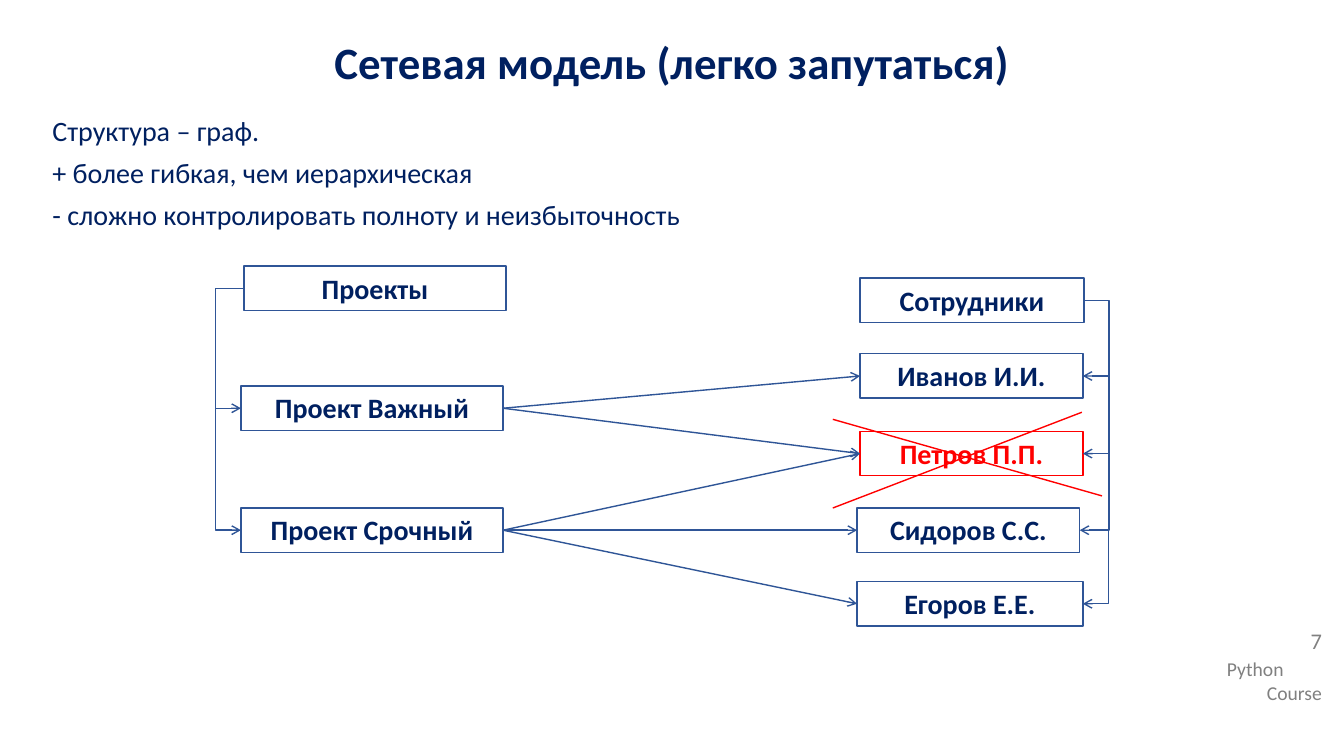
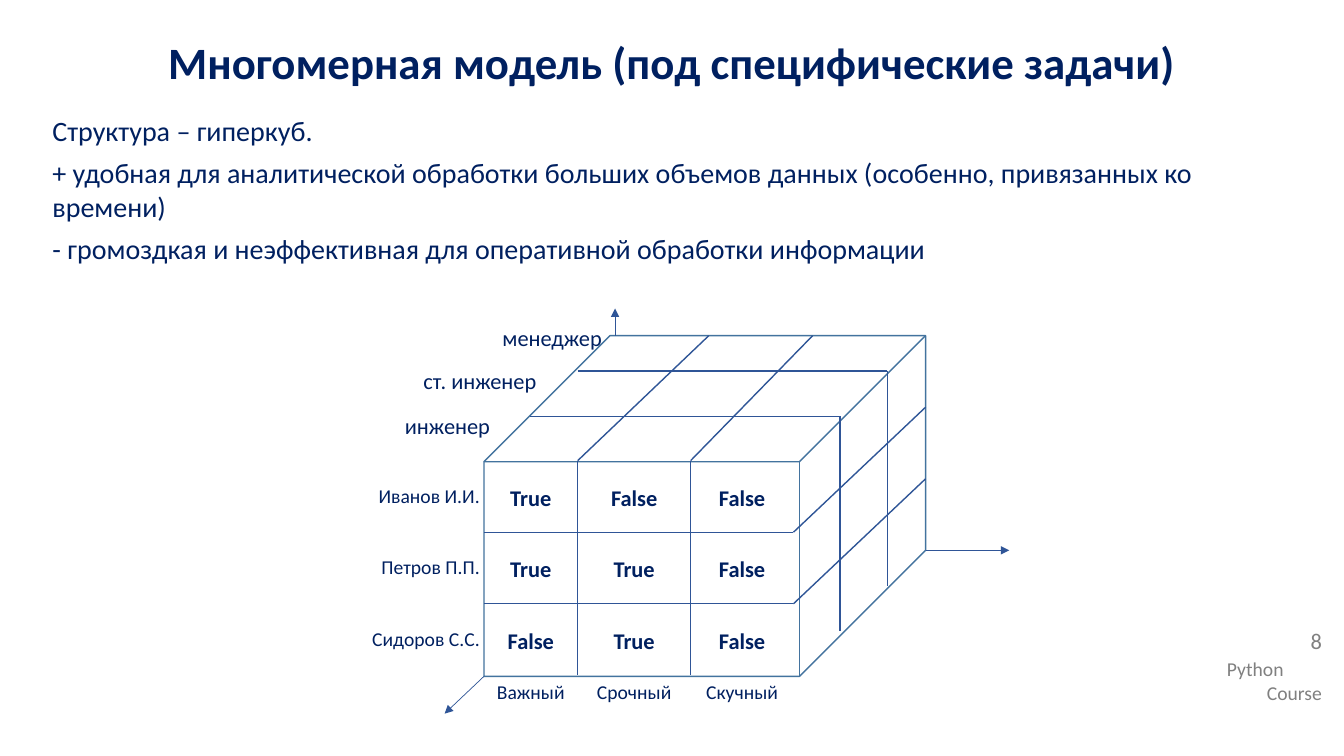
"""Two slides on data models: a network graph and a data cube."""
from lxml import etree
from pptx import Presentation
from pptx import util as u
from pptx.dml.color import RGBColor
from pptx.enum import shapes, text
from pptx.oxml.ns import qn

COLOURS = {"navy": "002060", "blue": "2F5597", "edge": "43739E", "red": "FF0000", "grey": "808080"}
WIDTH, HEIGHT = 13.33, 7.5
FIRST_PAGE = 7
TOP, LEFT, BOTTOM, RIGHT = range(4)
L, C, R = text.PP_ALIGN.LEFT, text.PP_ALIGN.CENTER, text.PP_ALIGN.RIGHT
ANCHOR_TOP, ANCHOR_MIDDLE = text.MSO_ANCHOR.TOP, text.MSO_ANCHOR.MIDDLE

TITLE_AREA = (0, 0.23, WIDTH, 0.76)
BODY_AREA = (0.42, 1.08, 12.49, 6.23)
PAGE_AREA = (12.07, 6.2, 1.14, 0.45)
COURSE_AREA = (12.07, 6.47, 1.14, 0.57)

STYLES = {
    "title": {"size": 32, "bold": True, "align": C, "before": 5, "after": 5, "anchor": ANCHOR_MIDDLE},
    "body": {"size": 20, "after": 6},
    "page": {"size": 16, "colour": "grey", "align": R, "spacing": 0.9, "before": 10},
    "course": {"size": 14, "colour": "grey"},
    "box": {"size": 20, "bold": True, "align": C, "inset": 0.04},
    "project": {"size": 14, "align": C, "inset": 0.04},
    "person": {"size": 14, "align": R, "inset": 0.04},
    "role": {"size": 16, "align": R, "inset": 0.04},
    "value": {"size": 16, "bold": True, "align": C, "inset": 0.04, "anchor": ANCHOR_MIDDLE},
}

NETWORK = {
    "title": "Сетевая модель (легко запутаться)",
    "body": ["Структура – граф.", "+ более гибкая, чем иерархическая",
             "- сложно контролировать полноту и неизбыточность"],
}
BOX_HEIGHT = 0.44
BOXES = {
    "Проекты": (2.42, 2.64, 2.6),
    "Проект Важный": (2.39, 3.83, 2.6),
    "Проект Срочный": (2.39, 5.04, 2.6),
    "Сотрудники": (8.53, 2.76, 2.22),
    "Иванов И.И.": (8.53, 3.51, 2.21),
    "Петров П.П.": (8.53, 4.28, 2.21),
    "Сидоров С.С.": (8.5, 5.04, 2.21),
    "Егоров Е.Е.": (8.5, 5.77, 2.24),
}
REMOVED = "Петров П.П."
ASSIGNED = {
    "Проект Важный": ["Иванов И.И.", "Петров П.П."],
    "Проект Срочный": ["Петров П.П.", "Сидоров С.С.", "Егоров Е.Е."],
}
LISTED = [
    ("Проекты", LEFT, 2.14, ["Проект Важный", "Проект Срочный"]),
    ("Сотрудники", RIGHT, 11, ["Иванов И.И.", "Петров П.П.", "Сидоров С.С.", "Егоров Е.Е."]),
]
CROSS = [((8.26, 4.16), (10.93, 4.92)), ((8.26, 5.04), (10.73, 4.09))]

CUBE = {
    "title": "Многомерная модель (под специфические задачи)",
    "body": ["Структура – гиперкуб.",
             "+ удобная для аналитической обработки больших объемов данных (особенно, привязанных ко времени)",
             "- громоздкая и неэффективная для оперативной обработки информации"],
}
PROJECTS = ["Важный", "Срочный", "Скучный"]
PEOPLE = {
    "Иванов И.И.": ["True", "False", "False"],
    "Петров П.П.": ["True", "True", "False"],
    "Сидоров С.С.": ["False", "True", "False"],
}
ROLES = {"менеджер": (6.01, 3.17), "ст. инженер": (5.36, 3.59), "инженер": (4.9, 4.04)}
CUBE_AREA = (4.8, 3.33, 4.38, 3.38)
COLUMNS = [4.8, 5.73, 6.85, 7.87]
FRONT_TOP, ROW = 4.57, 0.71
BACK_COLUMNS = [7.03, 8.06]
LAYERS = [(5.73, 3.68), (5.26, 4.13)]
DEPTH = (1.31, 1.24)
AXES = [((4.8, 6.71), (4.41, 7.08)), ((9.18, 5.46), (10.01, 5.46)), ((6.1, 3.33), (6.1, 3.06))]


def inches(values):
    return [u.Inches(value) for value in values]


def rgb(name):
    return RGBColor.from_string(COLOURS[name])


def write(frame, lines, style, **changes):
    fmt = {**STYLES[style], **changes}
    side = u.Inches(fmt.get("inset", 0.1))
    layout = {"word_wrap": True, "auto_size": text.MSO_AUTO_SIZE.NONE,
              "vertical_anchor": fmt.get("anchor", ANCHOR_TOP),
              "margin_left": side, "margin_right": side,
              "margin_top": u.Inches(0.05), "margin_bottom": u.Inches(0.05)}
    for key, value in layout.items():
        setattr(frame, key, value)
    for index, line in enumerate(lines):
        paragraph = frame.paragraphs[0] if index == 0 else frame.add_paragraph()
        spacing = {"alignment": fmt.get("align", L), "line_spacing": fmt.get("spacing", 1.0),
                   "space_before": u.Pt(fmt.get("before", 0)), "space_after": u.Pt(fmt.get("after", 0))}
        for key, value in spacing.items():
            setattr(paragraph, key, value)
        run = paragraph.add_run()
        run.text = line
        font = {"name": "Calibri", "size": u.Pt(fmt["size"]), "bold": fmt.get("bold", False)}
        for key, value in font.items():
            setattr(run.font, key, value)
        run.font.color.rgb = rgb(fmt.get("colour", "navy"))


def label(slide, area, lines, style):
    frame = slide.shapes.add_textbox(*inches(area)).text_frame
    write(frame, lines, style)
    return frame


def outline(slide, kind, area, colour):
    shape = slide.shapes.add_shape(kind, *inches(area))
    shape.shadow.inherit = False
    shape.fill.background()
    shape.line.color.rgb = rgb(colour)
    shape.line.width = u.Pt(1)
    return shape


def line(slide, start, end, colour="blue", width=1, head=None, kind=shapes.MSO_CONNECTOR.STRAIGHT):
    connector = slide.shapes.add_connector(kind, *inches((*start, *end)))
    connector.line.color.rgb = rgb(colour)
    connector.line.width = u.Pt(width)
    if head:
        etree.SubElement(connector.line._get_or_add_ln(), qn("a:tailEnd"), type=head)
    etree.SubElement(connector._element.spPr, qn("a:effectLst"))
    return connector


def link(slide, source, source_side, target, target_side, rail=None):
    kind = shapes.MSO_CONNECTOR.STRAIGHT if rail is None else shapes.MSO_CONNECTOR.ELBOW
    connector = line(slide, (0, 0), (1, 1), head="arrow", kind=kind)
    connector.begin_connect(source, source_side)
    connector.end_connect(target, target_side)
    if rail is not None:
        bend = (u.Inches(rail) - connector.begin_x) / (connector.end_x - connector.begin_x)
        guides = connector._element.spPr.find(qn("a:prstGeom")).get_or_add_avLst()
        etree.SubElement(guides, qn("a:gd"), name="adj1", fmla=f"val {round(bend * 100000)}")


def number_field(paragraph):
    run = paragraph.runs[0]._r
    field = etree.Element(qn("a:fld"), id="{B6F15528-21DE-4FAA-801E-634DDDAF4B2B}", type="slidenum")
    paragraph._p.replace(run, field)
    field.extend(list(run))


def start_slide(prs, content):
    slide = prs.slides.add_slide(prs.slide_layouts[1])
    title, body = slide.placeholders
    write(title.text_frame, [content["title"]], "title")
    write(body.text_frame, content["body"], "body")
    for paragraph in body.text_frame.paragraphs:
        properties = paragraph._p.get_or_add_pPr()
        properties.set("marL", "0")
        properties.set("indent", "0")
        etree.SubElement(properties, qn("a:buNone"))
    course = label(slide, COURSE_AREA, ["Python", "Course"], "course")
    course.paragraphs[1].alignment = R
    page = label(slide, PAGE_AREA, [str(FIRST_PAGE + len(prs.slides) - 1)], "page")
    number_field(page.paragraphs[0])
    return slide


def network_slide(prs):
    slide = start_slide(prs, NETWORK)
    boxes = {}
    for name, (left, top, width) in BOXES.items():
        line_colour, text_colour = ("red", "red") if name == REMOVED else ("blue", "navy")
        boxes[name] = outline(slide, shapes.MSO_SHAPE.RECTANGLE, (left, top, width, BOX_HEIGHT), line_colour)
        write(boxes[name].text_frame, [name], "box", colour=text_colour)
    for project, people in ASSIGNED.items():
        for person in people:
            link(slide, boxes[project], RIGHT, boxes[person], LEFT)
    for heading, side, rail, members in LISTED:
        for member in members:
            link(slide, boxes[heading], side, boxes[member], side, rail)
    for start, end in CROSS:
        line(slide, start, end, "red")


def cube_slide(prs):
    slide = start_slide(prs, CUBE)
    cube = outline(slide, shapes.MSO_SHAPE.CUBE, CUBE_AREA, "edge")
    cube.adjustments[0] = 0.37
    left, right = COLUMNS[0], COLUMNS[-1]
    bottom, back_top = FRONT_TOP + 3 * ROW, CUBE_AREA[1]

    for x, back_x in zip(COLUMNS[1:-1], BACK_COLUMNS):
        line(slide, (x, FRONT_TOP), (x, bottom))
        line(slide, (x, FRONT_TOP), (back_x, back_top))
    for row in (1, 2):
        y = FRONT_TOP + row * ROW
        line(slide, (left, y), (right, y))
        line(slide, (right, y), (right + DEPTH[0], y - DEPTH[1]))
    for x, y in LAYERS:
        corner = x + right - left
        line(slide, (x, y), (corner, y))
        line(slide, (corner, y), (corner, y + 3 * ROW))
    for start, end in AXES:
        line(slide, start, end, width=0.5, head="triangle")

    cells = [(x, end - x) for x, end in zip(COLUMNS, COLUMNS[1:])]
    for (x, width), project in zip(cells, PROJECTS):
        label(slide, (x, bottom, width, 0.38), [project], "project")
    for row, (person, values) in enumerate(PEOPLE.items()):
        y = FRONT_TOP + row * ROW
        label(slide, (left - 1.49, y + 0.18, 1.49, 0.38), [person], "person")
        for (x, width), value in zip(cells, values):
            label(slide, (x, y + 0.01, width, ROW), [value], "value")
    for role, (end, y) in ROLES.items():
        label(slide, (end - 1.49, y, 1.49, 0.42), [role], "role")


def main():
    prs = Presentation()
    prs.slide_width, prs.slide_height = inches((WIDTH, HEIGHT))
    prs.element.set("firstSlideNum", str(FIRST_PAGE))
    for holder, area in zip(prs.slide_layouts[1].placeholders, (TITLE_AREA, BODY_AREA)):
        for key, value in zip(("left", "top", "width", "height"), inches(area)):
            setattr(holder, key, value)
    network_slide(prs)
    cube_slide(prs)
    prs.save("out.pptx")


if __name__ == "__main__":
    main()
